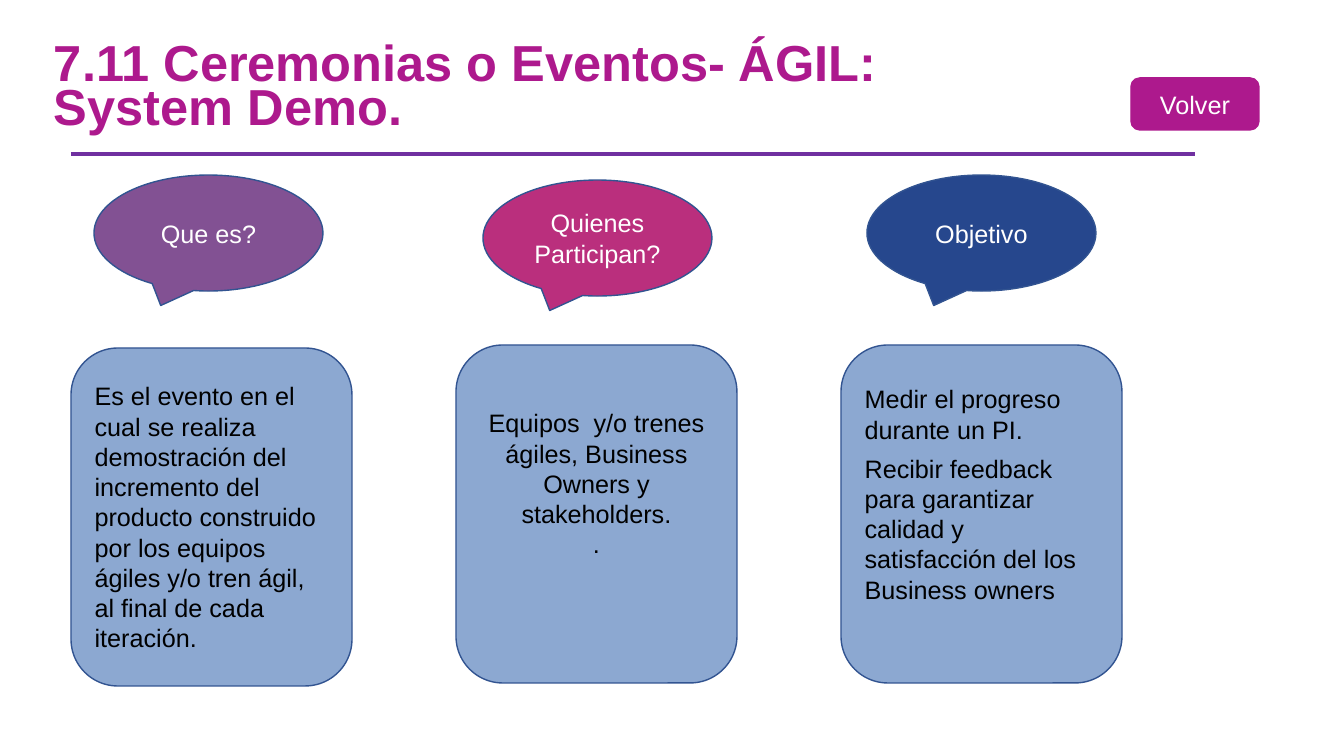
import pptx
import pptx.dml.color
import pptx.enum.shapes
import pptx.enum.text
import pptx.util
from lxml import etree

SHAPE = pptx.enum.shapes.MSO_SHAPE
ALIGN = pptx.enum.text.PP_ALIGN
ANCHOR = pptx.enum.text.MSO_ANCHOR

EMU_PER_PX = 914400 / 100.8
FONT = "Arial"
COLORS = {
    "magenta": "AD198D",
    "rule": "7030A0",
    "outline": "325491",
    "card": "8CA8D1",
    "purple": "825193",
    "pink": "BA2F7D",
    "navy": "26478D",
    "white": "FFFFFF",
    "black": "000000",
}

CARD_LEFT, CARD_STEP = 71, 385
# callout text, color, left, top; card top, text inset, alignment, paragraphs
TOPICS = [
    ("Que es?", "purple", 94, 175, 348, 19, ALIGN.LEFT, [
        "Es el evento en el cual se realiza demostración del incremento del "
        "producto construido por los equipos ágiles y/o tren ágil, al final "
        "de cada iteración."]),
    ("Quienes Participan?", "pink", 483, 180, 345, 49, ALIGN.CENTER, [
        "Equipos  y/o trenes ágiles, Business Owners y stakeholders.",
        "."]),
    ("Objetivo", "navy", 867, 175, 345, 25, ALIGN.LEFT, [
        "Medir el progreso durante un PI.",
        "Recibir feedback para garantizar calidad y satisfacción del los "
        "Business owners"]),
]


def px(length):
    return pptx.util.Emu(round(length * EMU_PER_PX))


def rgb(name):
    return pptx.dml.color.RGBColor.from_string(COLORS[name])


def write(frame, paragraphs, color, size=18, align=ALIGN.CENTER, bold=False):
    frame.word_wrap = True
    frame.vertical_anchor = ANCHOR.MIDDLE
    for index, text in enumerate(paragraphs):
        paragraph = frame.add_paragraph() if index else frame.paragraphs[0]
        paragraph.text = text
        paragraph.alignment = align
        paragraph.font.name = FONT
        paragraph.font.size = pptx.util.Pt(size)
        paragraph.font.bold = bold
        paragraph.font.color.rgb = rgb(color)


def add_box(slide, kind, box, fill, line):
    shape = slide.shapes.add_shape(kind, *map(px, box))
    shape.shadow.inherit = False
    shape.fill.solid()
    shape.fill.fore_color.rgb = rgb(fill)
    shape.line.color.rgb = rgb(line)
    shape.line.width = pptx.util.Pt(1)
    return shape


def add_title(slide, text):
    title = slide.shapes.add_textbox(px(44), px(37), px(876), px(106))
    write(title.text_frame, [text], "magenta", 36.1, ALIGN.LEFT, True)
    title.text_frame.paragraphs[0].line_spacing = 0.74


def add_rule(slide, left, right, y):
    rule = slide.shapes.add_connector(
        pptx.enum.shapes.MSO_CONNECTOR.STRAIGHT,
        px(left), px(y), px(right), px(y))
    rule.line.color.rgb = rgb("rule")
    rule.line.width = pptx.util.Pt(2.25)
    properties = rule.element.find(pptx.oxml.ns.qn("p:spPr"))
    etree.SubElement(properties, pptx.oxml.ns.qn("a:effectLst"))


def add_callout(slide, left, top, color, text):
    callout = add_box(slide, SHAPE.OVAL_CALLOUT, (left, top, 229, 116),
                      color, "outline")
    write(callout.text_frame, [text], "white")


def add_card(slide, left, top, inset, align, paragraphs):
    card = add_box(slide, SHAPE.FLOWCHART_ALTERNATE_PROCESS,
                   (left, top, 281, 338), "card", "outline")
    frame = card.text_frame
    write(frame, paragraphs, "black", align=align)
    frame.vertical_anchor = ANCHOR.TOP
    frame.margin_top = px(inset)
    if align == ALIGN.LEFT:
        for paragraph in frame.paragraphs:
            paragraph.space_after = pptx.util.Pt(6.3)


def add_button(slide, text):
    button = add_box(slide, SHAPE.ROUNDED_RECTANGLE, (1131, 78, 128, 52),
                     "magenta", "magenta")
    write(button.text_frame, [text], "white")


def main():
    deck = pptx.Presentation()
    deck.slide_width, deck.slide_height = px(1344), px(756)
    slide = deck.slides.add_slide(deck.slide_layouts[6])

    # Heading
    add_title(slide, "7.11 Ceremonias o Eventos- ÁGIL: System Demo.")
    add_rule(slide, 71, 1195, 154)

    # One callout and one card per topic
    for column, topic in enumerate(TOPICS):
        label, color, left, top, card_top, inset, align, paragraphs = topic
        add_callout(slide, left, top, color, label)
        add_card(slide, CARD_LEFT + column * CARD_STEP, card_top, inset,
                 align, paragraphs)

    # Back button
    add_button(slide, "Volver")

    deck.save("out.pptx")


if __name__ == "__main__":
    main()
